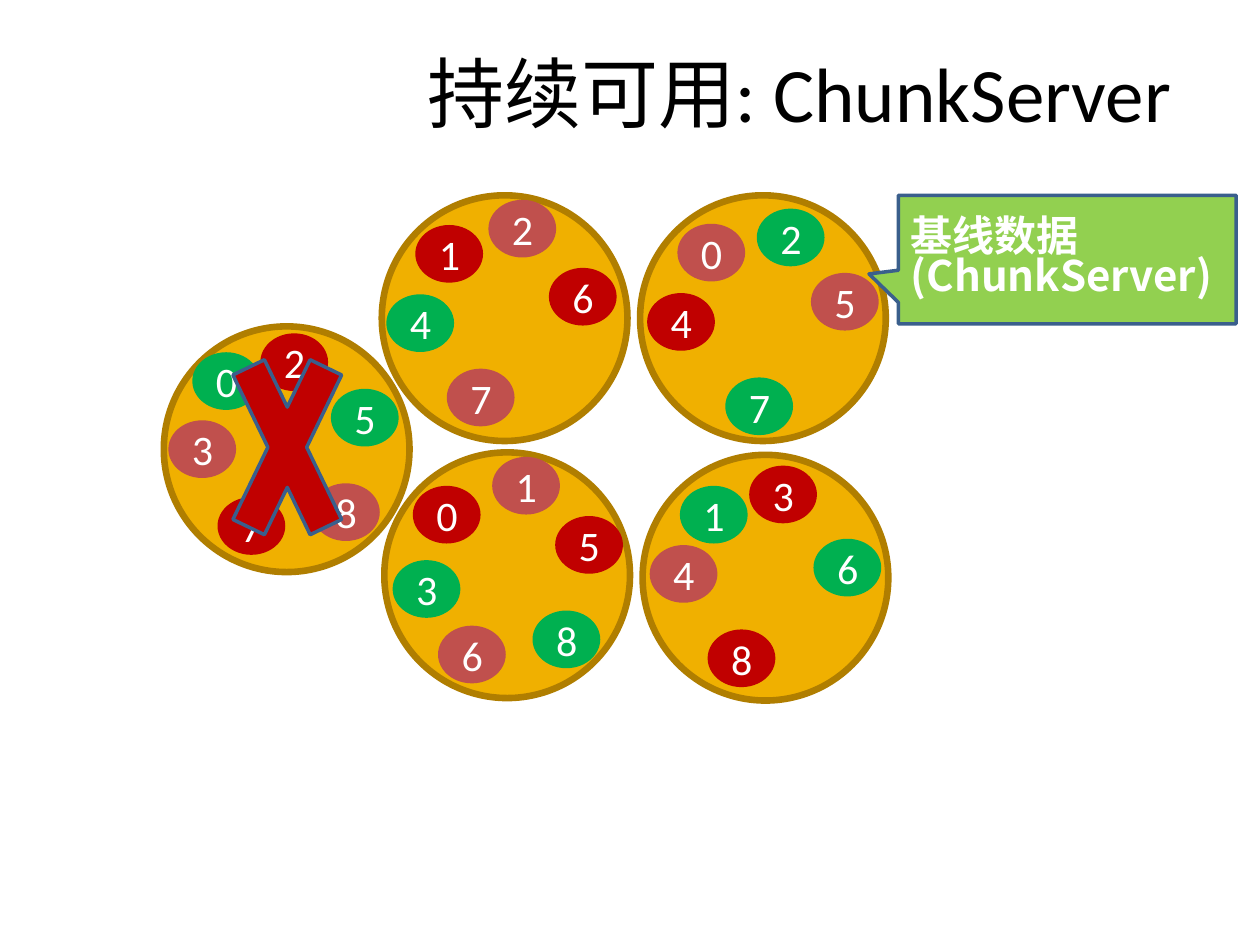
from dataclasses import dataclass

from pptx import Presentation
from pptx import util as u
from pptx.dml.color import RGBColor
from pptx.enum import shapes, text
from pptx.oxml.ns import qn

COLORS = {
    "disk": "F0B000",
    "disk_edge": "B07E00",
    "red": "C00000",
    "rose": "C0504D",
    "green": "00B050",
    "callout": "92D050",
    "edge": "3A5F8C",
    "white": "FFFFFF",
    "black": "000000",
}
CJK_FONT = "Noto Sans CJK SC"
DISK_SIZE = 1.95
CHUNK_WIDTH, CHUNK_HEIGHT = 0.51, 0.43


@dataclass
class Chunk:
    label: str
    color: str
    left: float
    top: float


@dataclass
class Server:
    left: float
    top: float
    chunks: list[Chunk]


SERVERS = [
    Server(1.3, 2.59, [
        Chunk("0", "green", 1.54, 2.81),
        Chunk("2", "red", 2.08, 2.66),
        Chunk("3", "rose", 1.35, 3.35),
        Chunk("5", "green", 2.64, 3.1),
        Chunk("7", "red", 1.74, 3.96),
        Chunk("8", "rose", 2.49, 3.85),
    ]),
    Server(3.03, 1.55, [
        Chunk("1", "red", 3.31, 1.8),
        Chunk("2", "rose", 3.89, 1.6),
        Chunk("4", "green", 3.08, 2.35),
        Chunk("6", "red", 4.37, 2.14),
        Chunk("7", "rose", 3.56, 2.94),
    ]),
    Server(5.08, 1.55, [
        Chunk("0", "rose", 5.39, 1.79),
        Chunk("2", "green", 6.02, 1.67),
        Chunk("4", "red", 5.15, 2.34),
        Chunk("5", "rose", 6.45, 2.18),
        Chunk("7", "green", 5.77, 3.01),
    ]),
    Server(3.05, 3.59, [
        Chunk("0", "red", 3.29, 3.87),
        Chunk("1", "rose", 3.92, 3.64),
        Chunk("3", "green", 3.13, 4.46),
        Chunk("5", "red", 4.42, 4.11),
        Chunk("6", "rose", 3.49, 4.98),
        Chunk("8", "green", 4.24, 4.86),
    ]),
    Server(5.1, 3.61, [
        Chunk("1", "green", 5.41, 3.87),
        Chunk("3", "red", 5.96, 3.71),
        Chunk("4", "rose", 5.17, 4.34),
        Chunk("6", "green", 6.47, 4.29),
        Chunk("8", "red", 5.63, 5.01),
    ]),
]


def add_run(paragraph, content: str, size: float, color: str,
            font: str = "Calibri", bold: bool = False) -> None:
    run = paragraph.add_run()
    run.text = content
    run.font.size = u.Pt(size)
    run.font.bold = bold
    run.font.name = font
    run.font.color.rgb = RGBColor.from_string(COLORS[color])
    east_asian = run.font._element.makeelement(qn("a:ea"), {"typeface": CJK_FONT})
    run.font._element.find(qn("a:latin")).addnext(east_asian)


def add_figure(slide, kind, left: float, top: float, width: float, height: float,
               fill: str, line: str, line_width: float = 2):
    shape = slide.shapes.add_shape(
        kind, u.Inches(left), u.Inches(top), u.Inches(width), u.Inches(height))
    shape.shadow.inherit = False
    shape.fill.solid()
    shape.fill.fore_color.rgb = RGBColor.from_string(COLORS[fill])
    shape.line.color.rgb = RGBColor.from_string(COLORS[line])
    shape.line.width = u.Pt(line_width)
    return shape


def add_disk(slide, server: Server) -> None:
    add_figure(slide, shapes.MSO_SHAPE.OVAL, server.left, server.top,
               DISK_SIZE, DISK_SIZE, "disk", "disk_edge", 3.78)


def add_chunk(slide, chunk: Chunk) -> None:
    shape = add_figure(slide, shapes.MSO_SHAPE.OVAL, chunk.left, chunk.top,
                       CHUNK_WIDTH, CHUNK_HEIGHT, chunk.color, chunk.color)
    shape.text_frame.vertical_anchor = text.MSO_ANCHOR.MIDDLE
    paragraph = shape.text_frame.paragraphs[0]
    paragraph.alignment = text.PP_ALIGN.LEFT
    add_run(paragraph, chunk.label, 24, "white")


def add_callout(slide, lines: list[str]) -> None:
    callout = add_figure(slide, shapes.MSO_SHAPE.RECTANGULAR_CALLOUT,
                         7.13, 1.55, 2.68, 1.02, "callout", "edge")
    callout.adjustments[0] = -0.587
    callout.adjustments[1] = 0.112
    frame = callout.text_frame
    frame.word_wrap = True
    frame.vertical_anchor = text.MSO_ANCHOR.MIDDLE
    for index, line in enumerate(lines):
        paragraph = frame.add_paragraph() if index else frame.paragraphs[0]
        paragraph.alignment = text.PP_ALIGN.JUSTIFY
        paragraph.line_spacing = 0.8
        add_run(paragraph, line, 24, "white", CJK_FONT, True)


def add_title(slide, content: str) -> None:
    title = slide.shapes.title
    title.left, title.top = u.Inches(3.19), u.Inches(0.3)
    title.width, title.height = u.Inches(6.31), u.Inches(0.85)
    title.text_frame.vertical_anchor = text.MSO_ANCHOR.MIDDLE
    paragraph = title.text_frame.paragraphs[0]
    paragraph.alignment = text.PP_ALIGN.CENTER
    add_run(paragraph, content, 44, "black")


def main() -> None:
    presentation = Presentation()
    presentation.slide_width = u.Inches(10)
    presentation.slide_height = u.Inches(7.5)
    slide = presentation.slides.add_slide(presentation.slide_layouts[5])
    add_title(slide, "持续可用: ChunkServer")
    for server in SERVERS:
        add_disk(slide, server)
        for chunk in server.chunks:
            add_chunk(slide, chunk)
    add_figure(slide, shapes.MSO_SHAPE.MATH_MULTIPLY,
               1.69, 2.33, 1.18, 2.44, "red", "edge")
    add_callout(slide, ["基线数据", "(ChunkServer)"])
    presentation.save("out.pptx")


if __name__ == "__main__":
    main()
